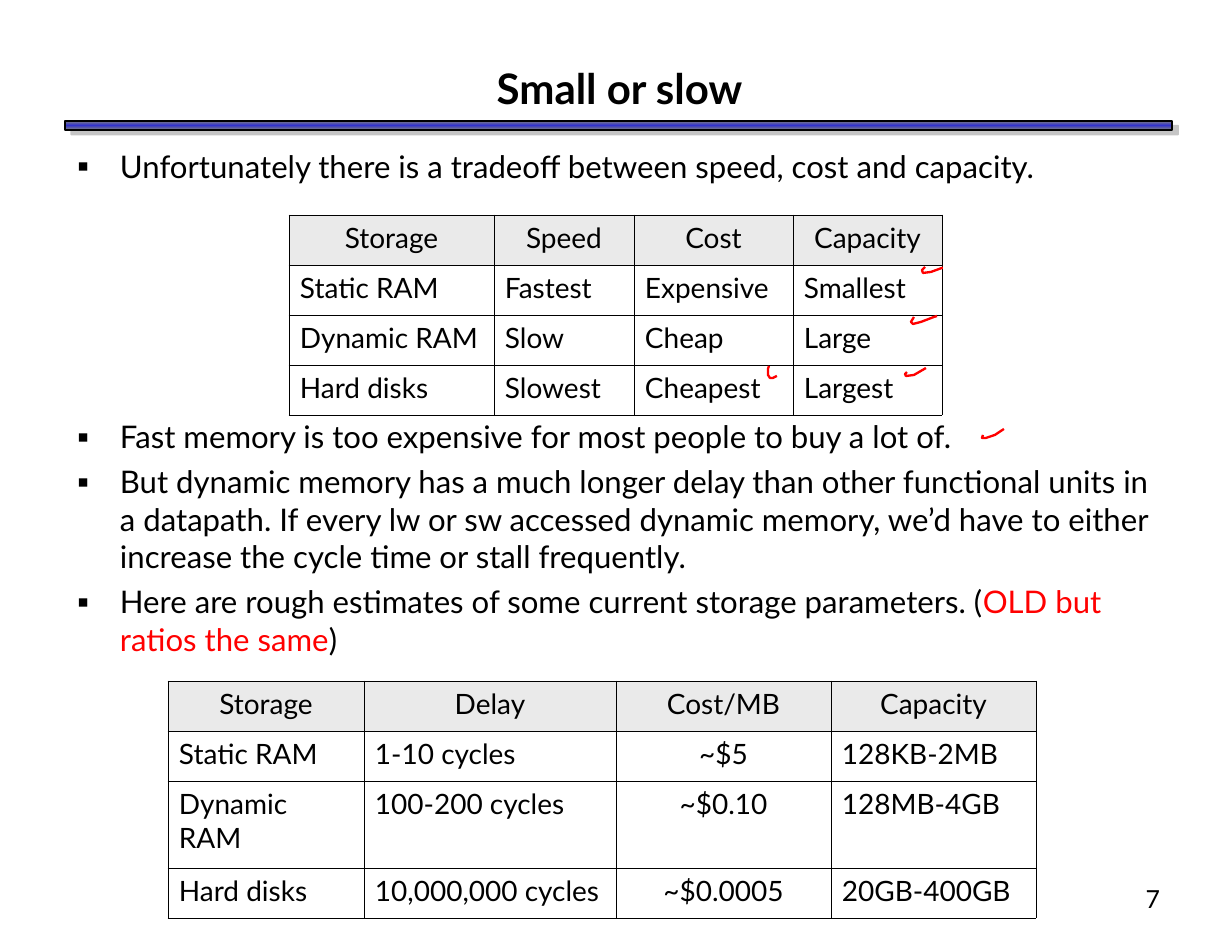
from pptx import Presentation
from pptx.dml.color import RGBColor
from pptx.enum.shapes import MSO_SHAPE as SHAPE
from pptx.enum.text import MSO_ANCHOR as ANCHOR, PP_ALIGN as ALIGN
from pptx.oxml import parse_xml
from pptx.oxml.ns import nsdecls
from pptx.util import Pt

BLACK, RED, HEADER = "000000", "FF0000", "EAEAEA"


def px(n):
    return round(n * 914400 / 112)


def rgb(value):
    return RGBColor.from_string(value)


def xml(tag, attrs="", inner=""):
    return parse_xml(f"<a:{tag} {nsdecls('a')} {attrs}>{inner}</a:{tag}>")


def color_xml(value, inner=""):
    return f'<a:srgbClr val="{value}">{inner}</a:srgbClr>'


class Deck:
    font = "Lato"
    insets = {"margin_left": px(12), "margin_right": px(12),
              "margin_top": px(7), "margin_bottom": px(7)}
    cell_insets = {"margin_left": px(11), "margin_right": px(11),
                   "margin_top": px(6), "margin_bottom": px(6)}

    def __init__(self, width, height):
        self.prs = Presentation()
        self.prs.slide_width, self.prs.slide_height = px(width), px(height)
        self.slide = self.prs.slides.add_slide(self.prs.slide_layouts[6])

    def apply(self, target, values):
        for name, value in values.items():
            setattr(target, name, value)

    def run(self, p, text, size, color=BLACK, bold=False):
        r = p.add_run()
        r.text = text
        self.apply(r.font, {"name": self.font, "size": Pt(size), "bold": bold})
        r.font.color.rgb = rgb(color)

    def frame(self, box, anchor=ANCHOR.TOP):
        tf = self.slide.shapes.add_textbox(*map(px, box)).text_frame
        self.apply(tf, {"word_wrap": True, "vertical_anchor": anchor, **self.insets})
        return tf

    def text(self, box, text, size, align, anchor=ANCHOR.TOP, bold=False):
        p = self.frame(box, anchor).paragraphs[0]
        p.alignment = align
        self.run(p, text, size, bold=bold)

    def bullets(self, box, items, size):
        tf = self.frame(box)
        for i, (space, runs) in enumerate(items):
            p = tf.add_paragraph() if i else tf.paragraphs[0]
            pPr = p._p.get_or_add_pPr()
            pPr.set("marL", str(px(43)))
            pPr.set("indent", str(px(-43)))
            pPr.append(xml("buClr", inner=color_xml(BLACK)))
            pPr.append(xml("buFont", f'typeface="{self.font}"'))
            pPr.append(xml("buChar", 'char="▪"'))
            if space:
                p.space_before = Pt(space)
            for text, color in runs:
                self.run(p, text, size, color)

    def rule(self, box):
        sp = self.slide.shapes.add_shape(SHAPE.RECTANGLE, *map(px, box))
        sp.line.color.rgb = rgb(BLACK)
        sp.line.width = Pt(1)
        sp.fill.gradient()
        sp.fill.gradient_angle = 270
        stops = sp._element.spPr.find(".//{*}gsLst")
        stops.clear()
        for pos, color in ((0, "808080"), (50, "3333CC"), (100, "808080")):
            stops.append(xml("gs", f'pos="{pos * 1000}"', color_xml(color)))
        shadow = color_xml("B2B2B2", '<a:alpha val="75000"/>')
        sp._element.spPr.append(xml("effectLst", inner=(
            f'<a:outerShdw blurRad="0" dist="{Pt(5)}" dir="{37 * 60000}">'
            f"{shadow}</a:outerShdw>")))

    def table(self, left, top, widths, heights, rows, centered=()):
        tbl = self.slide.shapes.add_table(
            len(rows), len(widths), px(left), px(top),
            px(sum(widths)), px(sum(heights))).table
        self.apply(tbl, {"first_row": False, "horz_banding": False})
        for col, width in zip(tbl.columns, widths):
            col.width = px(width)
        for row, height in zip(tbl.rows, heights):
            row.height = px(height)
        for i, texts in enumerate(rows):
            for j, text in enumerate(texts):
                cell = tbl.cell(i, j)
                self.apply(cell, self.cell_insets)
                tcPr = cell._tc.get_or_add_tcPr()
                for side in "LRTB":
                    tcPr.append(xml(f"ln{side}", f'w="{Pt(0.45)}"',
                                    f"<a:solidFill>{color_xml(BLACK)}</a:solidFill>"))
                if i == 0:
                    cell.fill.solid()
                    cell.fill.fore_color.rgb = rgb(HEADER)
                else:
                    cell.fill.background()
                p = cell.text_frame.paragraphs[0]
                p.alignment = ALIGN.CENTER if i == 0 or j in centered else ALIGN.LEFT
                self.run(p, text, 18)

    def stroke(self, points):
        start, *rest = [(px(x), px(y)) for x, y in points]
        builder = self.slide.shapes.build_freeform(*start)
        builder.add_line_segments(rest, close=False)
        sp = builder.convert_to_shape()
        sp.shadow.inherit = False
        sp.fill.background()
        sp.line.color.rgb = rgb(RED)
        sp.line.width = Pt(1.5)


def main():
    deck = Deck(1232, 952)
    deck.rule((65, 121, 1107, 9))
    deck.text((915, 877, 257, 64), "7", 16, ALIGN.RIGHT)
    deck.text((65, 56, 1109, 64), "Small or slow", 27, ALIGN.CENTER, ANCHOR.MIDDLE, True)
    deck.bullets((65, 140, 1105, 728), [
        (0, [("Unfortunately there is a tradeoff between speed, cost and capacity.", BLACK)]),
        (150, [("Fast memory is too expensive for most people to buy a lot of.", BLACK)]),
        (5, [("But dynamic memory has a much longer delay than other functional units in "
              "a datapath. If every lw or sw accessed dynamic memory, we’d have to either "
              "increase the cycle time or stall frequently.", BLACK)]),
        (5, [("Here are rough estimates of some current storage parameters. (", BLACK),
             ("OLD but ratios the same", RED), (")", BLACK)]),
    ], 20)
    deck.table(289, 215, (205, 140, 159, 149), (50, 50, 50, 50), [
        ("Storage", "Speed", "Cost", "Capacity"),
        ("Static RAM", "Fastest", "Expensive", "Smallest"),
        ("Dynamic RAM", "Slow", "Cheap", "Large"),
        ("Hard disks", "Slowest", "Cheapest", "Largest"),
    ])
    deck.table(168, 681, (196, 252, 215, 205), (50, 50, 87, 50), [
        ("Storage", "Delay", "Cost/MB", "Capacity"),
        ("Static RAM", "1-10 cycles", "~$5", "128KB-2MB"),
        ("Dynamic RAM", "100-200 cycles", "~$0.10", "128MB-4GB"),
        ("Hard disks", "10,000,000 cycles", "~$0.0005", "20GB-400GB"),
    ], centered=(2,))
    ticks = [
        [(769, 366), (768, 369), (768, 375), (770, 378), (773, 378), (777, 376)],
        [(925, 267), (922, 270), (923, 273), (931, 272), (942, 268), (943, 268)],
        [(914, 317), (911, 322), (913, 324), (921, 322), (934, 317), (937, 316)],
        [(907, 372), (905, 374), (906, 376), (914, 375), (926, 368)],
        [(983, 435), (982, 438), (986, 438), (995, 435), (1004, 429)],
    ]
    for points in ticks:
        deck.stroke(points)
    deck.prs.save("out.pptx")


if __name__ == "__main__":
    main()
